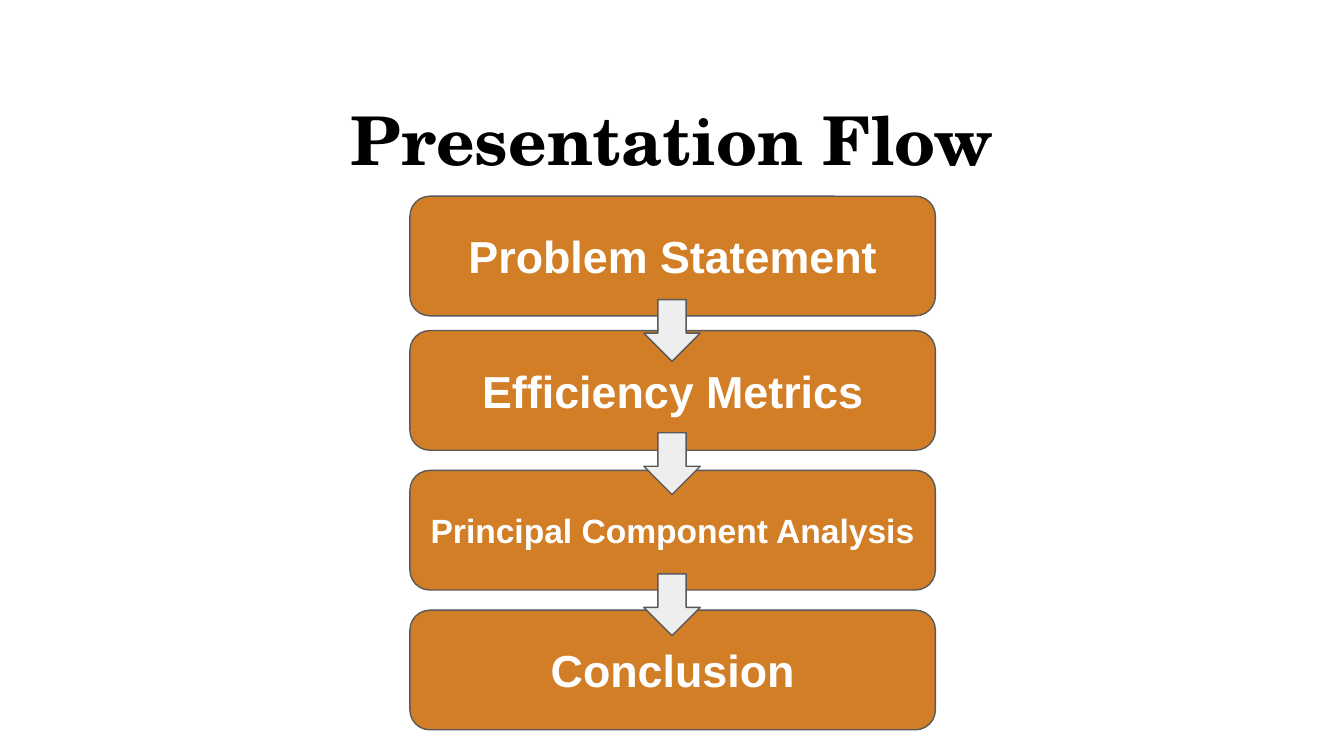
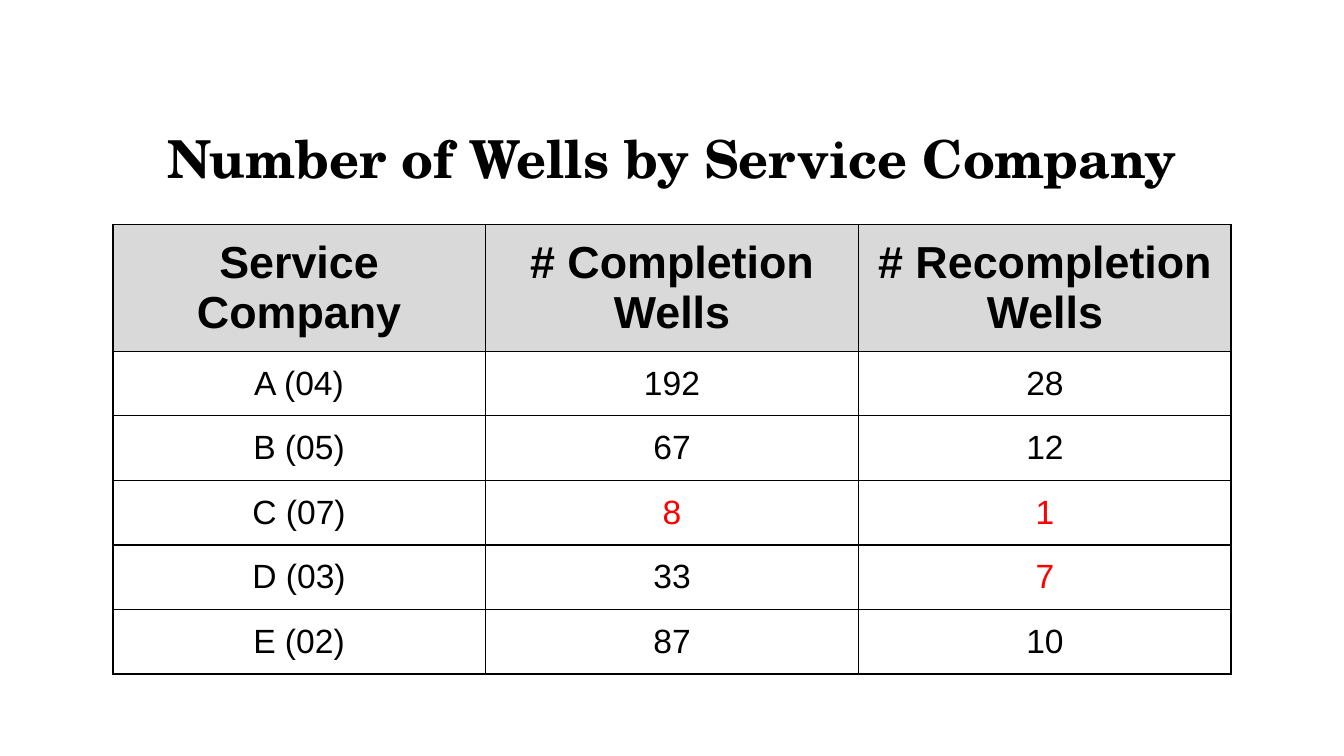
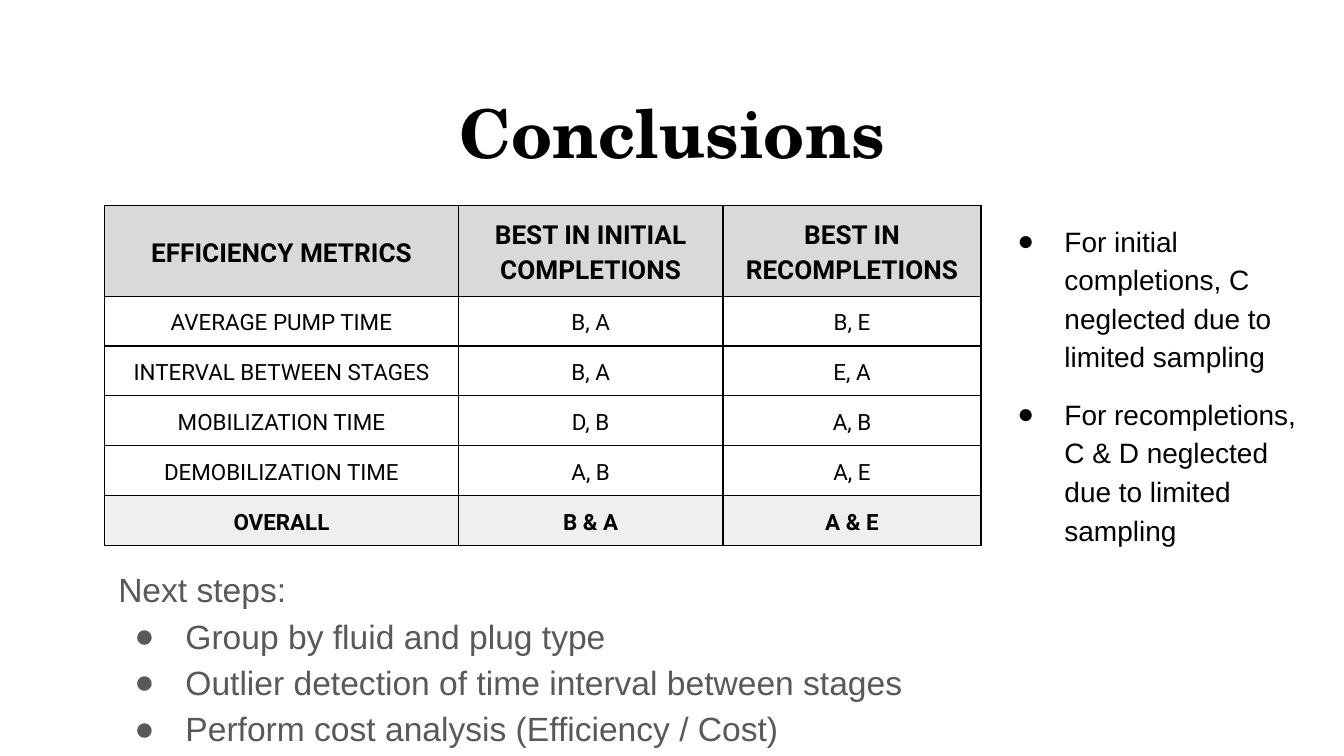
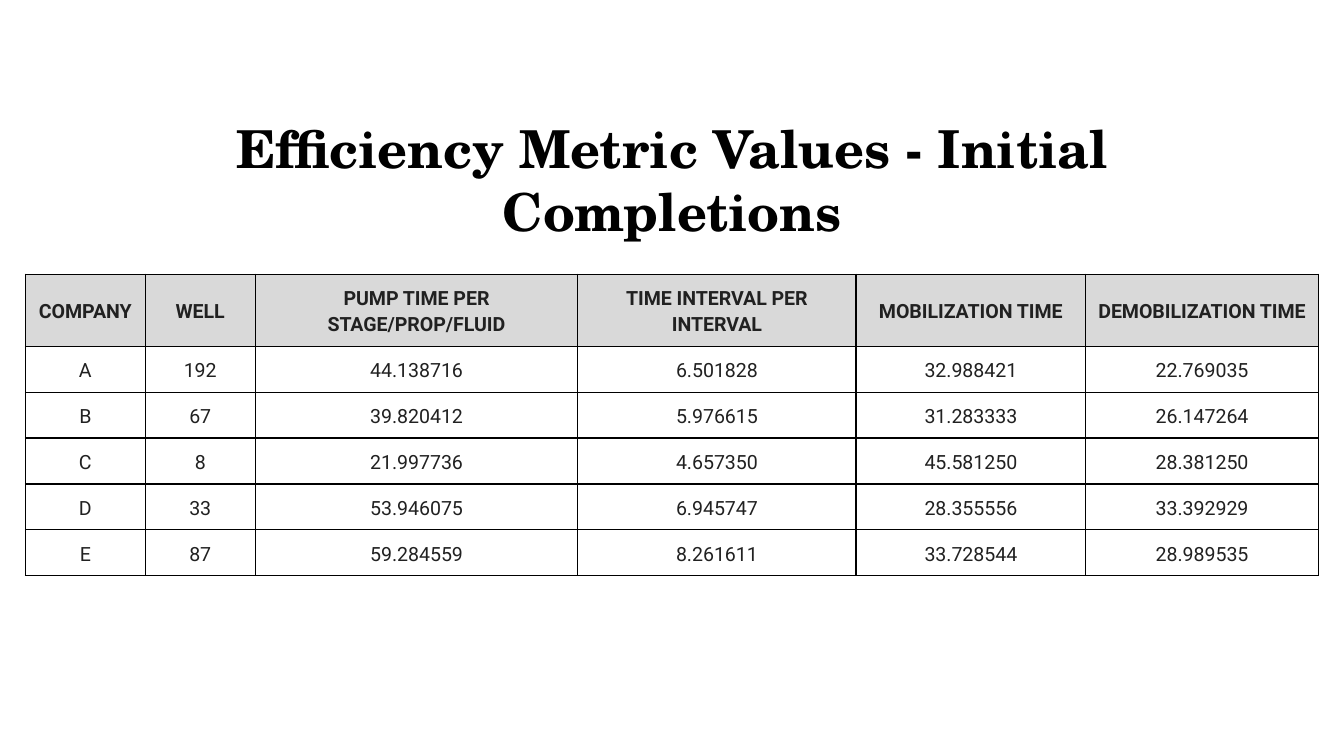
import pptx
import pptx.util
import pptx.dml.color
import pptx.enum.shapes
import pptx.enum.text
import pptx.oxml.ns
import lxml.etree

PX = 9144  # one px is a hundredth of an inch
Pt = pptx.util.Pt
RGB = pptx.dml.color.RGBColor
KIND = pptx.enum.shapes.MSO_SHAPE
MID = pptx.enum.text.MSO_ANCHOR.MIDDLE
TOP = pptx.enum.text.MSO_ANCHOR.TOP
MAIN = pptx.enum.text.PP_ALIGN.CENTER
LEFT = pptx.enum.text.PP_ALIGN.LEFT
qn = pptx.oxml.ns.qn

BLACK = RGB(0x00, 0x00, 0x00)
WHITE = RGB(0xFF, 0xFF, 0xFF)
ORANGE = RGB(0xD2, 0x7E, 0x27)
SLATE = RGB(0x59, 0x59, 0x59)
INK = RGB(0x21, 0x21, 0x21)
RED = RGB(0xFF, 0x00, 0x00)
HEAD = RGB(0xD9, 0xD9, 0xD9)
PALE = RGB(0xEF, 0xEF, 0xEF)
ARROW = RGB(0xEE, 0xEE, 0xEE)
WIDE = 10 * PX  # usual margin inside a box
SLIM = Pt(5.25)  # margin inside the cells of dense tables


def write(box, frame, lines, font, color, align=MAIN, anchor=MID, pad=WIDE, lead=1.0):
    """Fill a frame; box (the frame or its cell) carries margins and anchor."""
    for side in ("left", "right", "top", "bottom"):
        setattr(box, "margin_" + side, pad)
    box.vertical_anchor = anchor
    if box is frame:
        frame.word_wrap = True
        frame.auto_size = pptx.enum.text.MSO_AUTO_SIZE.NONE
    for i, line in enumerate(lines):
        para = frame.paragraphs[0] if i == 0 else frame.add_paragraph()
        look = {"alignment": align, "line_spacing": lead, "space_before": Pt(0)}
        for key, val in look.items():
            setattr(para, key, val)
        run = para.add_run()
        run.text = line
        for key, val in font.items():
            setattr(run.font, key, val)
        run.font.color.rgb = color


def grid(slide, spot, cols, tall, rows, name, sizes, color, pad, lead):
    """Add a bordered table with a grey head; tall is (head, row, frame)."""
    frame = slide.shapes.add_table(len(rows), len(cols), spot[0] * PX, spot[1] * PX,
                                   sum(cols) * PX, tall[2] * PX)
    table = frame.table
    table.first_row = table.horz_banding = False
    for col, wide in zip(table.columns, cols):
        col.width = wide * PX
    for r, row in enumerate(rows):
        table.rows[r].height = tall[min(r, 1)] * PX
        for c, word in enumerate(row):
            cell = table.cell(r, c)
            font = {"name": name, "size": Pt(sizes[min(r, 1)]), "bold": r == 0}
            write(cell, cell.text_frame, [word], font, color, pad=pad, lead=lead)
            props = cell._tc.get_or_add_tcPr()
            for tag in ("a:lnL", "a:lnR", "a:lnT", "a:lnB"):
                edge = lxml.etree.SubElement(props, qn(tag), w=str(Pt(0.75)))
                fill = lxml.etree.SubElement(edge, qn("a:solidFill"))
                lxml.etree.SubElement(fill, qn("a:srgbClr"), val=str(BLACK))
            cell.fill.solid()
            cell.fill.fore_color.rgb = WHITE if r else HEAD
    frame.height = tall[2] * PX
    return table


deck = pptx.Presentation()
deck.slide_width = 1000 * PX
deck.slide_height = deck.slide_width * 9 // 16

# Slides and titles: layout, wording, size, anchor, place
TITLES = [
    (5, "Presentation Flow", 36, MID, (34, 72, 932, 63)),
    (5, "Number of Wells by Service Company", 28, MID, (34, 86, 932, 63)),
    (3, "Conclusions", 36, TOP, (34, 58, 932, 63)),
    (5, "Efficiency Metric Values - Initial Completions", 28, MID, (99, 86, 802, 94)),
]
slides = []
for layout, words, size, anchor, spot in TITLES:
    slide = deck.slides.add_slide(deck.slide_layouts[layout])
    title = slide.shapes.title
    for key, val in zip(("left", "top", "width", "height"), spot):
        setattr(title, key, val * PX)
    font = {"name": "TeX Gyre Schola", "size": Pt(size), "bold": True}
    write(title.text_frame, title.text_frame, [words], font, BLACK, anchor=anchor)
    slides.append(slide)
flow, wells, ends, values = slides

# Remove the layout's unused placeholders on the conclusions slide
for hole in list(ends.placeholders):
    if hole.placeholder_format.idx not in (0, 1, 2):
        hole._element.getparent().remove(hole._element)

# Flow: four steps, then the arrows between them
STEPS = [("Problem Statement", 24, 146), ("Efficiency Metrics", 24, 246),
         ("Principal Component Analysis", 18, 350), ("Conclusion", 24, 454)]
parts = [(KIND.ROUNDED_RECTANGLE, 305, y, 391, 89, ORANGE, words, size)
         for words, size, y in STEPS]
parts += [(KIND.DOWN_ARROW, 479, y, 42, 46, ARROW, "", 0) for y in (223, 322, 427)]
for kind, x, y, wide, high, color, words, size in parts:
    shape = flow.shapes.add_shape(kind, x * PX, y * PX, wide * PX, high * PX)
    shape.shadow.inherit = False
    shape.fill.solid()
    shape.fill.fore_color.rgb = color
    shape.line.color.rgb = SLATE
    shape.line.width = Pt(0.75)
    if words:
        font = {"name": "Arial", "size": Pt(size), "bold": True}
        write(shape.text_frame, shape.text_frame, [words], font, WHITE)

# Wells: counts, with the small samples in red
COUNTS = [
    ("Service Company", "# Completion Wells", "# Recompletion Wells"),
    ("A (04)", "192", "28"),
    ("B (05)", "67", "12"),
    ("C (07)", "8", "1"),
    ("D (03)", "33", "7"),
    ("E (02)", "87", "10"),
]
table = grid(wells, (84, 167), [277, 278, 277], (42, 42, 350), COUNTS,
             "Arial", (24, 18), BLACK, WIDE, 1.0)
for r, c in ((3, 1), (3, 2), (4, 2)):
    table.cell(r, c).text_frame.paragraphs[0].runs[0].font.color.rgb = RED

# Conclusions: best companies, with the overall row set off
BEST = [
    ("EFFICIENCY METRICS", "BEST IN INITIAL COMPLETIONS", "BEST IN RECOMPLETIONS"),
    ("AVERAGE PUMP TIME", "B, A", "B, E"),
    ("INTERVAL BETWEEN STAGES", "B, A", "E, A"),
    ("MOBILIZATION TIME", "D, B", "A, B"),
    ("DEMOBILIZATION TIME", "A, B", "A, E"),
    ("OVERALL", "B & A", "A & E"),
]
table = grid(ends, (78, 153), [263, 197, 192], (48, 31, 246), BEST,
             "Roboto", (14, 12), BLACK, SLIM, 1.15)
for cell in table.rows[5].cells:
    cell.fill.fore_color.rgb = PALE
    cell.text_frame.paragraphs[0].runs[0].font.bold = True

# Conclusions: lists; each line has its margin, hang and space before
LISTS = [
    (1, (78, 409, 741, 148), 18, SLATE, [
        ("Next steps:", 0, 0, 0),
        ("Group by fluid and plug type", 50, 38, 0),
        ("Outlier detection of time interval between stages", 50, 38, 0),
        ("Perform cost analysis (Efficiency / Cost)", 50, 38, 0)]),
    (2, (732, 153, 250, 285), 15, BLACK, [
        ("For initial completions, C neglected due to limited sampling", 50, 35, 0),
        ("For recompletions,", 50, 35, 10),
        ("C & D neglected due to limited sampling", 50, 0, 0)]),
]
for idx, spot, size, color, lines in LISTS:
    body = ends.placeholders[idx]
    for key, val in zip(("left", "top", "width", "height"), spot):
        setattr(body, key, val * PX)
    frame = body.text_frame
    font = {"name": "Arial", "size": Pt(size), "bold": False}
    write(frame, frame, [line[0] for line in lines], font, color, LEFT, TOP, lead=1.15)
    for para, (words, margin, hang, gap) in zip(frame.paragraphs, lines):
        para.space_before = Pt(gap)
        props = para._p.get_or_add_pPr()
        props.set("marL", str(margin * PX))
        props.set("indent", str(-hang * PX))
        if hang:
            tint = lxml.etree.SubElement(props, qn("a:buClr"))
            lxml.etree.SubElement(tint, qn("a:srgbClr"), val=str(color))
            lxml.etree.SubElement(props, qn("a:buFont"), typeface="Arial")
            lxml.etree.SubElement(props, qn("a:buChar"), char="●")
        else:
            lxml.etree.SubElement(props, qn("a:buNone"))

# Values: metrics of the initial completions
TIMES = [
    ("COMPANY", "WELL", "PUMP TIME PER STAGE/PROP/FLUID", "TIME INTERVAL PER INTERVAL",
     "MOBILIZATION TIME", "DEMOBILIZATION TIME"),
    ("A", "192", "44.138716", "6.501828", "32.988421", "22.769035"),
    ("B", "67", "39.820412", "5.976615", "31.283333", "26.147264"),
    ("C", "8", "21.997736", "4.657350", "45.581250", "28.381250"),
    ("D", "33", "53.946075", "6.945747", "28.355556", "33.392929"),
    ("E", "87", "59.284559", "8.261611", "33.728544", "28.989535"),
]
grid(values, (19, 204), [89, 82, 240, 207, 171, 173], (48, 31, 220), TIMES,
     "Roboto", (10.5, 10.5), INK, SLIM, 1.15)

deck.save("out.pptx")
